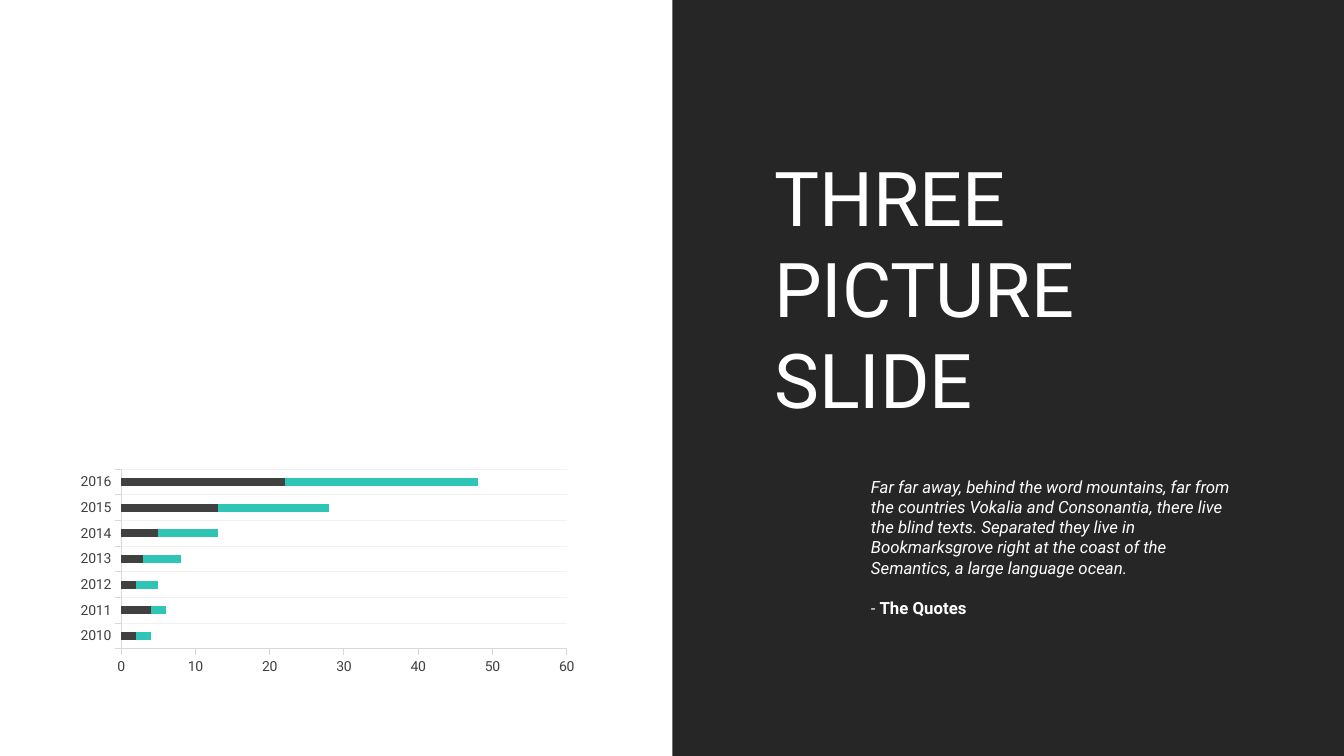
from dataclasses import dataclass

from lxml.etree import SubElement
from pptx import Presentation
from pptx.chart.data import CategoryChartData
from pptx.dml.color import RGBColor
from pptx.enum.chart import XL_CHART_TYPE, XL_TICK_MARK
from pptx.enum.shapes import MSO_SHAPE
from pptx.enum.text import MSO_ANCHOR, MSO_AUTO_SIZE, PP_ALIGN
from pptx.oxml.ns import qn
from pptx.util import Inches, Pt


@dataclass(frozen=True)
class Theme:
    font: str = "Roboto"
    dark: RGBColor = RGBColor(0x26, 0x26, 0x26)
    white: RGBColor = RGBColor(0xFF, 0xFF, 0xFF)
    gray: RGBColor = RGBColor(0x40, 0x40, 0x40)
    teal: RGBColor = RGBColor(0x2E, 0xC4, 0xB6)
    axis: RGBColor = RGBColor(0xD9, 0xD9, 0xD9)
    grid: RGBColor = RGBColor(0xF2, 0xF2, 0xF2)
    title_size: Pt = Pt(54)
    body_size: Pt = Pt(12)
    chart_size: Pt = Pt(10)
    quote_gap: Pt = Pt(14.4)


@dataclass(frozen=True)
class BarSeries:
    name: str
    values: tuple[int, ...]
    color: RGBColor


THEME = Theme()
YEARS = [str(year) for year in range(2010, 2017)]
SERIES = [
    BarSeries("Series 1", (2, 4, 2, 3, 5, 13, 22), THEME.gray),
    BarSeries("Series 2", (2, 2, 3, 5, 8, 15, 26), THEME.teal),
]
PLOT_LAYOUT = {"x": 0.08, "y": 0.05, "w": 0.9, "h": 0.84}
QUOTE = (
    "Far far away, behind the word mountains, far from the countries Vokalia "
    "and Consonantia, there live the blind texts. Separated they live in "
    "Bookmarksgrove right at the coast of the Semantics, a large language ocean."
)


def style_font(font, size: Pt, color: RGBColor, bold: bool = False, italic: bool = False) -> None:
    font.name = THEME.font
    font.size = size
    font.color.rgb = color
    font.bold = bold
    font.italic = italic


def add_panel(slide) -> None:
    panel = slide.shapes.add_shape(
        MSO_SHAPE.RECTANGLE, Inches(6.67), Inches(0), Inches(6.67), Inches(7.5)
    )
    panel.shadow.inherit = False
    panel.fill.solid()
    panel.fill.fore_color.rgb = THEME.dark
    panel.line.fill.background()
    slide.shapes.title.element.addprevious(panel.element)


def format_title(slide) -> None:
    title = slide.shapes.title
    title.left, title.top = Inches(7.58), Inches(1.45)
    title.width, title.height = Inches(3.53), Inches(2.83)
    frame = title.text_frame
    frame.text = "THREE\nPICTURE\nSLIDE"
    frame.word_wrap = False
    frame.auto_size = MSO_AUTO_SIZE.NONE
    frame.vertical_anchor = MSO_ANCHOR.TOP
    for paragraph in frame.paragraphs:
        paragraph.alignment = PP_ALIGN.LEFT
        for span in paragraph.runs:
            style_font(span.font, THEME.title_size, THEME.white)


def add_quote(slide) -> None:
    box = slide.shapes.add_textbox(Inches(8.54), Inches(4.68), Inches(3.85), Inches(1.51))
    frame = box.text_frame
    frame.word_wrap = True
    frame.text = QUOTE
    style_font(frame.paragraphs[0].runs[0].font, THEME.body_size, THEME.white, italic=True)
    author = frame.add_paragraph()
    author.space_before = THEME.quote_gap
    author.text = "- "
    style_font(author.runs[0].font, THEME.body_size, THEME.white, italic=True)
    name = author.add_run()
    name.text = "The Quotes"
    style_font(name.font, THEME.body_size, THEME.white, bold=True)


def format_axis(axis) -> None:
    axis.major_tick_mark = XL_TICK_MARK.OUTSIDE
    axis.minor_tick_mark = XL_TICK_MARK.NONE
    axis.format.line.color.rgb = THEME.axis
    axis.format.line.width = Pt(0.75)
    style_font(axis.tick_labels.font, THEME.chart_size, THEME.gray)


def set_plot_layout(chart) -> None:
    plot_area = chart.element.find(".//" + qn("c:plotArea"))
    layout = plot_area.find(qn("c:layout"))
    if layout is None:
        layout = SubElement(plot_area, qn("c:layout"))
        plot_area.insert(0, layout)
    manual = SubElement(layout, qn("c:manualLayout"))
    settings = {"layoutTarget": "inner", "xMode": "edge", "yMode": "edge", **PLOT_LAYOUT}
    for name, value in settings.items():
        SubElement(manual, qn(f"c:{name}")).set("val", str(value))


def add_year_chart(slide) -> None:
    data = CategoryChartData()
    data.categories = YEARS
    for entry in SERIES:
        data.add_series(entry.name, entry.values)
    chart = slide.shapes.add_chart(
        XL_CHART_TYPE.BAR_STACKED,
        Inches(0.8), Inches(4.55), Inches(4.92), Inches(2.14), data,
    ).chart
    chart.has_title = False
    chart.has_legend = False
    style_font(chart.font, THEME.chart_size, THEME.gray)
    plot = chart.plots[0]
    plot.gap_width = 219
    plot.overlap = 100
    plot.vary_by_categories = False
    for series, entry in zip(plot.series, SERIES):
        series.format.fill.solid()
        series.format.fill.fore_color.rgb = entry.color
    for axis in (chart.category_axis, chart.value_axis):
        format_axis(axis)
    chart.category_axis.has_major_gridlines = True
    grid_line = chart.category_axis.major_gridlines.format.line
    grid_line.color.rgb = THEME.grid
    grid_line.width = Pt(0.75)
    chart.value_axis.has_major_gridlines = False
    chart.value_axis.minimum_scale = 0
    chart.value_axis.maximum_scale = 60
    chart.value_axis.major_unit = 10
    set_plot_layout(chart)


deck = Presentation()
deck.slide_width, deck.slide_height = Inches(13.33), Inches(7.5)
page = deck.slides.add_slide(deck.slide_layouts[5])
add_panel(page)
format_title(page)
add_quote(page)
add_year_chart(page)
deck.save("out.pptx")
